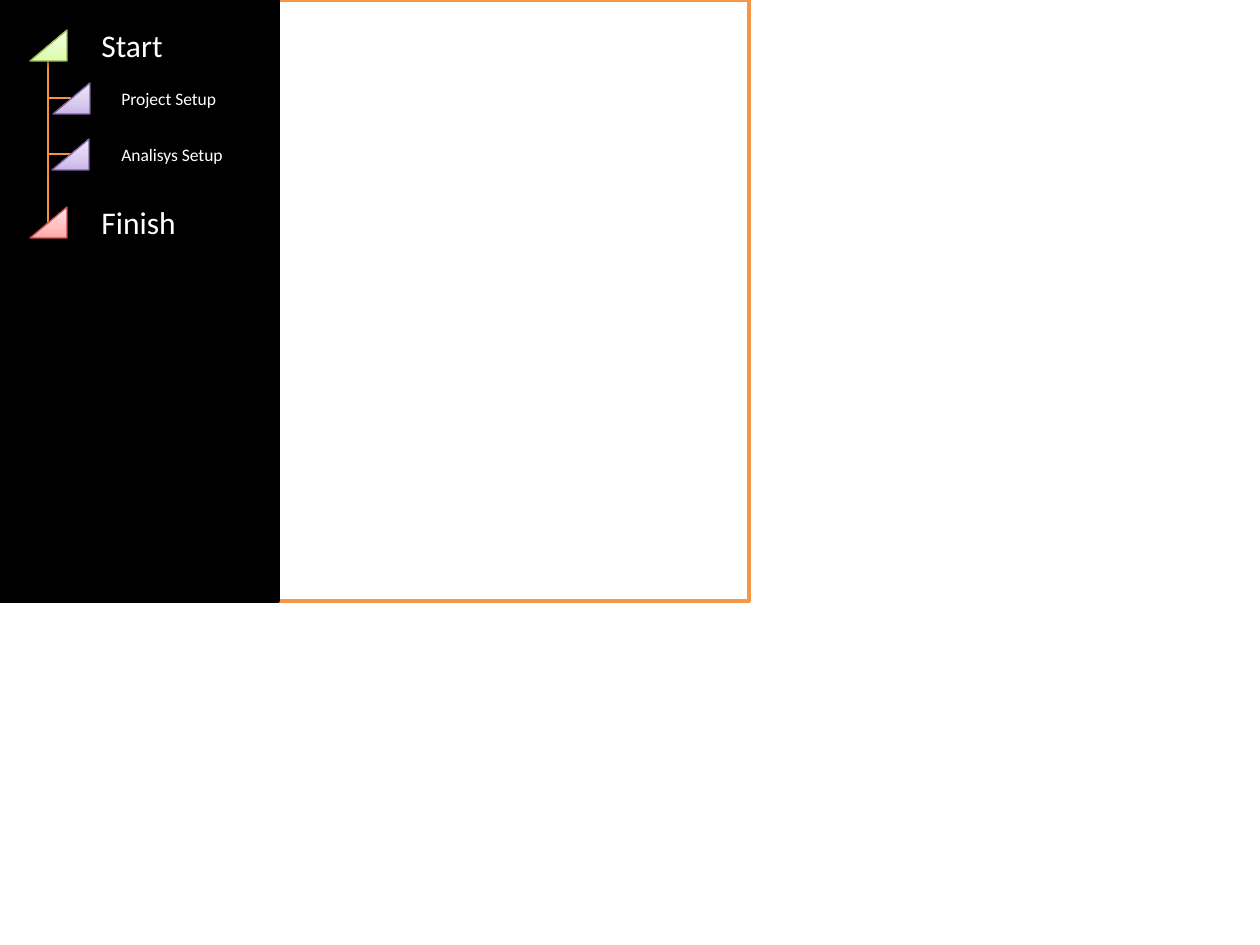
"""Build a slide with a dark sidebar showing the project steps from Start to Finish."""
import lxml.etree
import pptx
import pptx.dml.color
import pptx.enum.shapes
import pptx.enum.text
import pptx.oxml.ns
import pptx.util

PX = 914400 / 126
THEME = {
    "font": "Calibri",
    "phase_size": 18,
    "task_size": 10,
    "text": "FFFFFF",
    "page": "FFFFFF",
    "sidebar": "000000",
    "border": "F79646",
    "path_line": "F69240",
    "start": ("98B955", ("DAFDA7", "E4FCC2", "F5FFE7")),
    "task": ("7D60A0", ("C9B5E8", "D8CBEE", "F0EAF9")),
    "finish": ("BF4C48", ("FFA6A5", "FFC0BF", "FFE7E7")),
}
STOPS = (0, 35000, 100000)
MARKER_WIDTH, MARKER_HEIGHT = 37, 31
SPINE_X = 48


def px(*lengths):
    return [pptx.util.Emu(round(length * PX)) for length in lengths]


def add_node(parent, tag, **attributes):
    node = lxml.etree.SubElement(parent, pptx.oxml.ns.qn(tag))
    for key, value in attributes.items():
        node.set(key, str(value))
    return node


rgb = pptx.dml.color.RGBColor.from_string
shape_kinds = pptx.enum.shapes.MSO_SHAPE

deck = pptx.Presentation()
deck.slide_width, deck.slide_height = px(1260, 945)
slide = deck.slides.add_slide(deck.slide_layouts[6])

for width, fill, outline in (
    (749, THEME["page"], THEME["border"]),
    (278, THEME["sidebar"], THEME["sidebar"]),
):
    panel = slide.shapes.add_shape(shape_kinds.RECTANGLE, *px(0, 0, width, 601))
    panel.shadow.inherit = False
    panel.fill.solid()
    panel.fill.fore_color.rgb = rgb(fill)
    panel.line.color.rgb = rgb(outline)
    panel.line.width = pptx.util.Pt(2)

for start_x, start_y, end_x, end_y in (
    (SPINE_X, 61, SPINE_X, 238),
    (71, 98, SPINE_X, 98),
    (71, 154, SPINE_X, 154),
):
    branch = slide.shapes.add_connector(
        pptx.enum.shapes.MSO_CONNECTOR.STRAIGHT, *px(start_x, start_y, end_x, end_y)
    )
    branch.line.color.rgb = rgb(THEME["path_line"])
    branch.line.width = pptx.util.Pt(0.75)
    add_node(branch._element.spPr, "a:effectLst")

for step, role, marker_x, marker_y, label_box, size in (
    ("Start", "start", 30, 30, (89, 20, 110, 50), THEME["phase_size"]),
    ("Project Setup", "task", 53, 83, (109, 82, 139, 34), THEME["task_size"]),
    ("Analisys Setup", "task", 52, 139, (109, 138, 139, 34), THEME["task_size"]),
    ("Finish", "finish", 30, 207, (89, 197, 110, 50), THEME["phase_size"]),
):
    outline, shades = THEME[role]
    marker = slide.shapes.add_shape(
        shape_kinds.ISOSCELES_TRIANGLE,
        *px(marker_x, marker_y, MARKER_WIDTH, MARKER_HEIGHT),
    )
    marker.adjustments[0] = 1
    marker.line.color.rgb = rgb(outline)
    marker.line.width = pptx.util.Pt(0.75)
    marker.fill.gradient()
    marker.fill.gradient_angle = 90
    marker_properties = marker._element.spPr
    gradient_stops = marker_properties.find(".//" + pptx.oxml.ns.qn("a:gsLst"))
    for default_stop in list(gradient_stops):
        gradient_stops.remove(default_stop)
    for position, shade in zip(STOPS, shades):
        add_node(add_node(gradient_stops, "a:gs", pos=position), "a:srgbClr", val=shade)

    marker.shadow.inherit = False
    effects = marker_properties.find(pptx.oxml.ns.qn("a:effectLst"))
    shadow = add_node(
        effects, "a:outerShdw", blurRad=pptx.util.Pt(3.1), dist=pptx.util.Pt(1.6),
        dir=5400000, rotWithShape=0,
    )
    add_node(add_node(shadow, "a:srgbClr", val="000000"), "a:alpha", val=38000)

    label = slide.shapes.add_textbox(*px(*label_box)).text_frame
    label.word_wrap = True
    label.auto_size = pptx.enum.text.MSO_AUTO_SIZE.SHAPE_TO_FIT_TEXT
    label.text = step
    font = label.paragraphs[0].font
    font.name = THEME["font"]
    font.size = pptx.util.Pt(size)
    font.color.rgb = rgb(THEME["text"])

deck.save("out.pptx")
